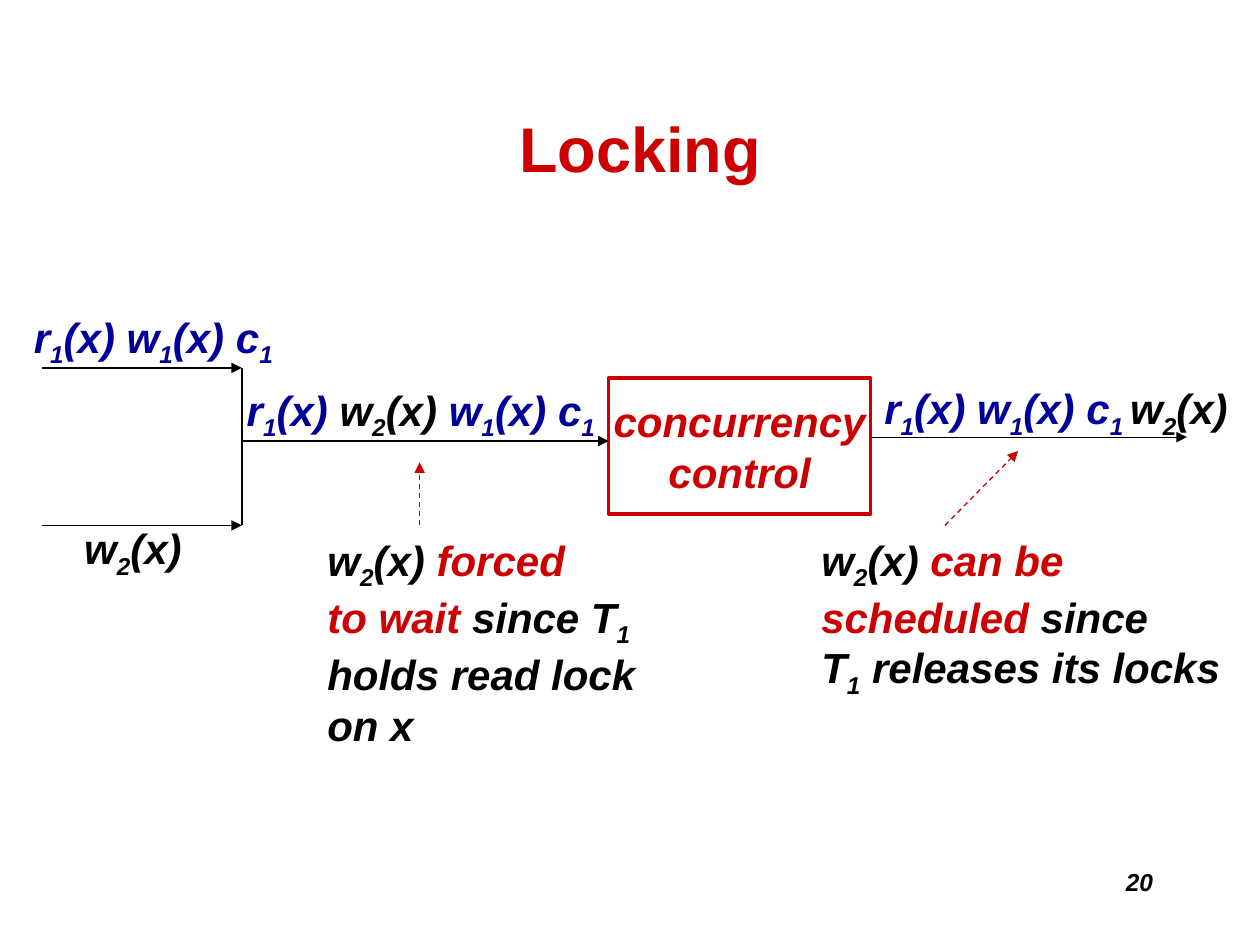
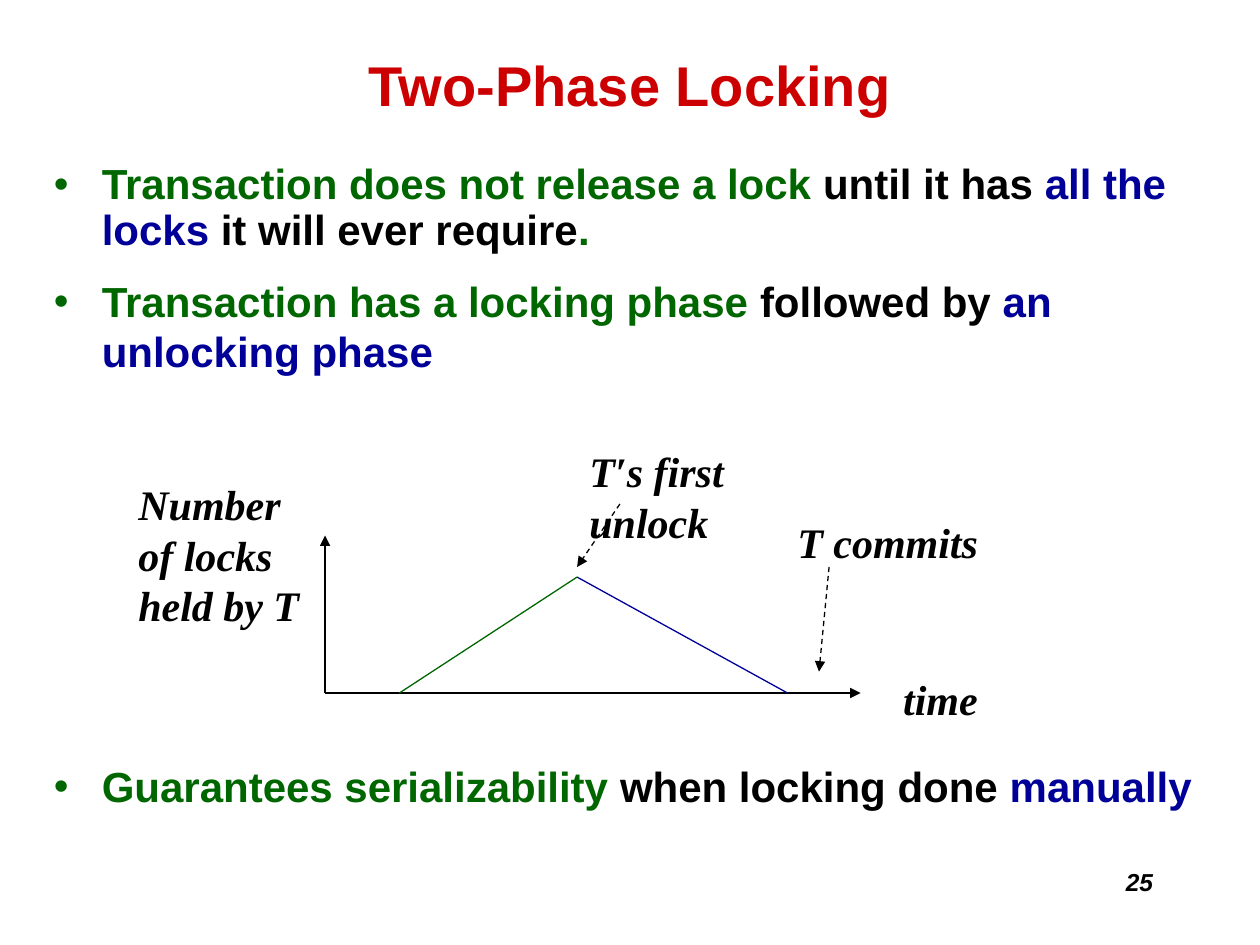
"""Build two slides on locking and two-phase locking."""
from lxml.etree import SubElement
from pptx import Presentation
from pptx.dml.color import RGBColor
from pptx.enum.dml import MSO_LINE
from pptx.enum.shapes import MSO_CONNECTOR, MSO_SHAPE
from pptx.enum.text import MSO_ANCHOR, PP_ALIGN
from pptx.oxml.ns import qn
from pptx.util import Inches, Pt

BLACK = RGBColor(0x00, 0x00, 0x00)
WHITE = RGBColor(0xFF, 0xFF, 0xFF)
RED = RGBColor(0xCC, 0x00, 0x00)
BLUE = RGBColor(0x00, 0x00, 0x99)
GREEN = RGBColor(0x00, 0x66, 0x00)
SANS = "Arial"
SERIF = "Times New Roman"


def write(sp, lines, size=24, font=SANS, italic=True, align=PP_ALIGN.LEFT,
          anchor=MSO_ANCHOR.TOP, wrap=True):
    """Write lines of (text, colour) runs; text between bars is subscript."""
    tf = sp.text_frame
    tf.word_wrap = wrap
    tf.vertical_anchor = anchor
    for i, line in enumerate(lines):
        p = tf.paragraphs[0] if i == 0 else tf.add_paragraph()
        p.alignment = align
        for text, color in line:
            for j, piece in enumerate(text.split("|")):
                if not piece:
                    continue
                r = p.add_run()
                r.text = piece
                r.font.name = font
                r.font.size = Pt(size)
                r.font.bold = True
                r.font.italic = italic
                r.font.color.rgb = color
                if j % 2:
                    r._r.get_or_add_rPr().set("baseline", "-25000")
    return tf


def add_line(s, x1, y1, x2, y2, color=BLACK, arrow=True, dashed=False):
    """Draw a thin line, with an arrowhead at its end by default."""
    c = s.shapes.add_connector(MSO_CONNECTOR.STRAIGHT, Inches(x1), Inches(y1),
                               Inches(x2), Inches(y2))
    c.line.color.rgb = color
    c.line.width = Pt(0.75)
    if dashed:
        c.line.dash_style = MSO_LINE.DASH
    if arrow:
        SubElement(c.line._get_or_add_ln(), qn("a:tailEnd"), type="triangle")
    SubElement(c._element.spPr, qn("a:effectLst"))


prs = Presentation()
prs.slide_width = Inches(10)
prs.slide_height = Inches(7.5)

slides = []
for title, left, top, size, number in [
    ("Locking", 0.83, 0.67, 36, "20"),
    ("Two-Phase Locking", 0.75, 0.17, 32, "25"),
]:
    s = prs.slides.add_slide(prs.slide_layouts[6])
    sp = s.shapes.add_textbox(Inches(left), Inches(top), Inches(8.5), Inches(1))
    write(sp, [[(title, RED)]], size, italic=False, align=PP_ALIGN.CENTER,
          anchor=MSO_ANCHOR.MIDDLE)
    sp = s.shapes.add_textbox(Inches(7.17), Inches(6.83), Inches(2.08), Inches(0.5))
    write(sp, [[(number, BLACK)]], 14, align=PP_ALIGN.RIGHT)
    slides.append(s)
locking, two_phase = slides

sp = locking.shapes.add_shape(MSO_SHAPE.RECTANGLE, Inches(4.83), Inches(3),
                              Inches(2.08), Inches(1.08))
sp.shadow.inherit = False
sp.fill.solid()
sp.fill.fore_color.rgb = WHITE
sp.line.color.rgb = RED
sp.line.width = Pt(2)
write(sp, [[("concurrency", RED)], [("control", RED)]],
      align=PP_ALIGN.CENTER, anchor=MSO_ANCHOR.MIDDLE, wrap=False)

for x1, y, x2 in [(0.33, 2.92, 1.92), (0.33, 4.17, 1.92),
                  (1.92, 3.5, 4.83), (6.92, 3.47, 9.42)]:
    add_line(locking, x1, y, x2, y)
add_line(locking, 1.92, 2.92, 1.92, 4.17, arrow=False)
add_line(locking, 3.33, 4.17, 3.33, 3.67, RED, dashed=True)
add_line(locking, 7.5, 4.17, 8.08, 3.58, RED, dashed=True)

for left, top, width, height, lines in [
    (0.17, 2.42, 2.25, 0.5, [[("r|1|(x) w|1|(x) c|1|", BLUE)]]),
    (0.57, 4.1, 1.1, 0.5, [[("w|2|(x)", BLACK)]]),
    (1.86, 3, 3.1, 0.5, [[("r|1|(x)", BLUE), (" w|2|(x) ", BLACK),
                          ("w|1|(x) c|1|", BLUE)]]),
    (6.92, 2.99, 3.05, 0.5, [[("r|1|(x) w|1|(x) c|1 |", BLUE), ("w|2|(x)", BLACK)]]),
    (2.5, 4.19, 2.8, 1.7, [[("w|2|(x)", BLACK), (" forced", RED)],
                           [("to wait ", RED), ("since T|1|", BLACK)],
                           [("holds read lock", BLACK)],
                           [("on x", BLACK)]]),
    (6.42, 4.19, 3.5, 1.3, [[("w|2|(x)", BLACK), (" can be", RED)],
                            [("scheduled ", RED), ("since", BLACK)],
                            [("T|1| releases its locks", BLACK)]]),
]:
    sp = locking.shapes.add_textbox(Inches(left), Inches(top), Inches(width),
                                    Inches(height))
    write(sp, lines)

for top, height, spacing, bullets in [
    (1.25, 1.9, 0.9, [
        [("Transaction does not release a lock ", GREEN), ("until it has ", BLACK),
         ("all the locks ", BLUE), ("it will ever require", BLACK), (".", GREEN)],
        [("Transaction has a locking phase ", GREEN), ("followed by ", BLACK),
         ("an unlocking phase", BLUE)]]),
    (5.99, 0.5, 1.0, [
        [("Guarantees serializability ", GREEN), ("when locking done ", BLACK),
         ("manually", BLUE)]]),
]:
    sp = two_phase.shapes.add_textbox(Inches(0.33), Inches(top), Inches(9.33),
                                      Inches(height))
    tf = write(sp, bullets, italic=False)
    for p in tf.paragraphs:
        pPr = p._p.get_or_add_pPr()
        pPr.set("marL", str(Inches(0.38)))
        pPr.set("indent", str(Inches(-0.38)))
        SubElement(pPr, qn("a:buFont"), typeface=SANS)
        SubElement(pPr, qn("a:buChar"), char="•")
    tf.paragraphs[0].line_spacing = spacing
    for p in tf.paragraphs[1:]:
        p.space_before = Pt(12)

add_line(two_phase, 2.58, 5.5, 2.58, 4.25)
add_line(two_phase, 2.58, 5.5, 6.83, 5.5)
add_line(two_phase, 4.58, 4.58, 6.25, 5.5, BLUE, arrow=False)
add_line(two_phase, 3.17, 5.5, 4.58, 4.58, GREEN, arrow=False)
add_line(two_phase, 4.92, 4, 4.58, 4.5, dashed=True)
add_line(two_phase, 6.58, 4.5, 6.5, 5.33, dashed=True)

for left, top, width, height, lines in [
    (7.07, 5.3, 0.9, 0.5, ["time"]),
    (1, 3.75, 1.6, 1.3, ["Number", "of locks", "held by T"]),
    (4.58, 3.49, 1.6, 0.9, ["T′s first unlock"]),
    (6.23, 4.05, 1.8, 0.5, ["T commits"]),
]:
    sp = two_phase.shapes.add_textbox(Inches(left), Inches(top), Inches(width),
                                      Inches(height))
    write(sp, [[(text, BLACK)] for text in lines], font=SERIF)

prs.save("out.pptx")
